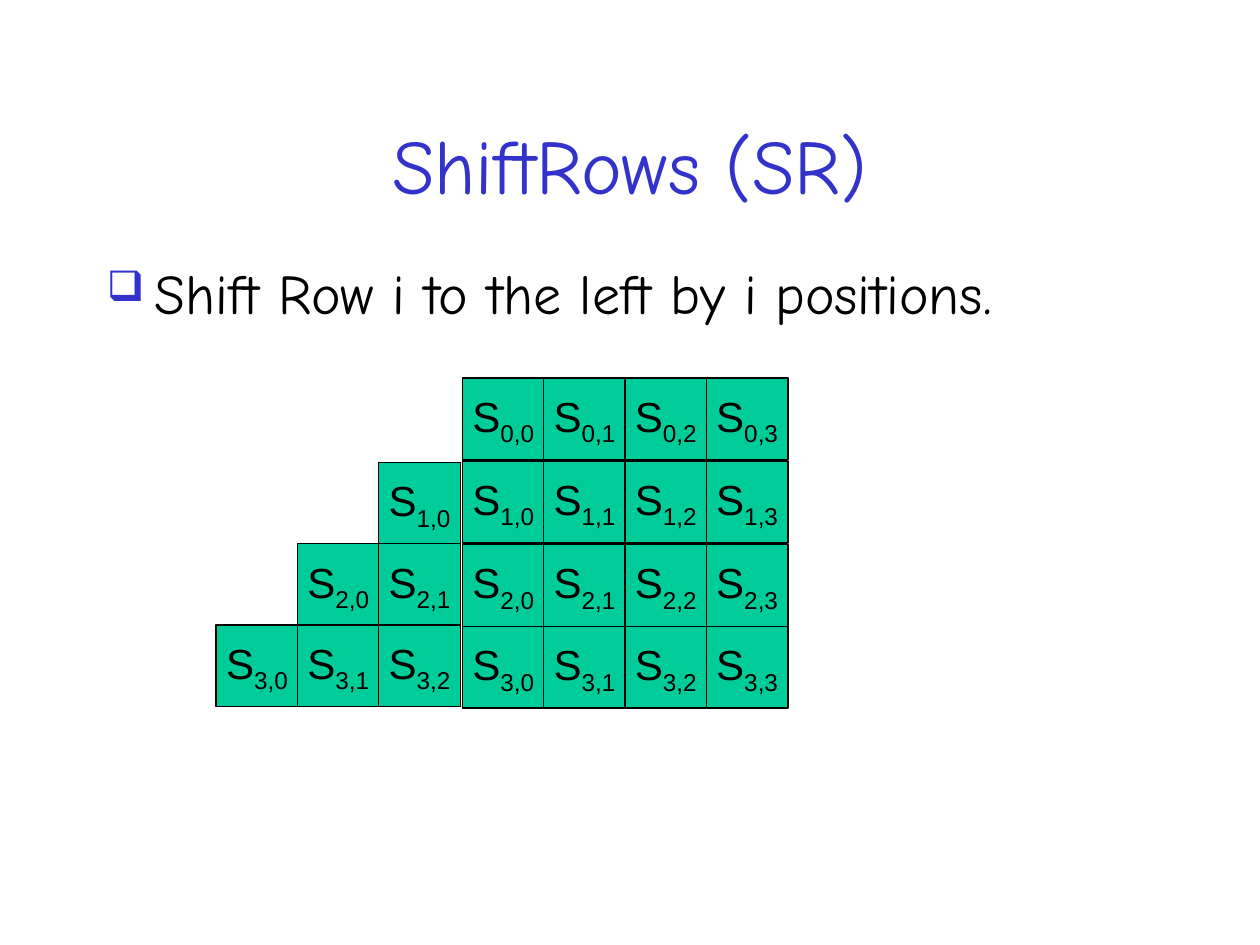
import pptx
import pptx.util
import pptx.dml.color
import pptx.enum.shapes
import pptx.enum.text
import pptx.oxml.ns
import lxml.etree

Inches = pptx.util.Inches
Pt = pptx.util.Pt
RGBColor = pptx.dml.color.RGBColor
ANCHOR = pptx.enum.text.MSO_ANCHOR
ALIGN = pptx.enum.text.PP_ALIGN
RECTANGLE = pptx.enum.shapes.MSO_SHAPE.RECTANGLE

BLUE = RGBColor(0x33, 0x33, 0xCC)
GREEN = RGBColor(0x00, 0xCC, 0x99)
BLACK = RGBColor(0, 0, 0)
WHITE = RGBColor(255, 255, 255)

TITLE = "ShiftRows (SR)"
RULE = "Shift Row i to the left by i positions."
BULLET = "❑"
STATE_SIZE = 4
STATE_LEFT = 3.67
STATE_TOPS = (3, 3.66, 4.32, 4.97)
SHIFTED_RIGHT = 3.65
SHIFTED_TOP = 3.67
CELL = 0.65
PITCH = 1.29 / 2
MASK = (1.41, 3.42, 2.25, 2.42)

TITLE_FONT = {"name": "Comic Neue", "size": Pt(44)}
RULE_FONT = {"name": "Comic Neue", "size": Pt(32)}
CELL_FONT = {"name": "Arial", "size": Pt(24)}


def set_all(target, values):
    for name, value in values.items():
        setattr(target, name, value)


def add_span(para, text, font, color):
    span = para.add_run()
    span.text = text
    set_all(span.font, font)
    span.font.color.rgb = color
    return span


def add_text(page, place, text, font, color, frame_format, para_format):
    box = page.shapes.add_textbox(*map(Inches, place))
    set_all(box.text_frame, {"word_wrap": True, **frame_format})
    para = box.text_frame.paragraphs[0]
    set_all(para, para_format)
    add_span(para, text, font, color)
    return para


def add_bullet(para, symbol, color, percent):
    properties = para._p.get_or_add_pPr()
    properties.set("marL", str(Inches(0.38)))
    properties.set("indent", str(-Inches(0.38)))
    qn = pptx.oxml.ns.qn
    bullet_color = lxml.etree.SubElement(properties, qn("a:buClr"))
    lxml.etree.SubElement(bullet_color, qn("a:srgbClr"), val=str(color))
    lxml.etree.SubElement(properties, qn("a:buSzPct"), val=str(percent * 1000))
    lxml.etree.SubElement(properties, qn("a:buChar"), char=symbol)


def add_rectangle(shapes, place, fill):
    shape = shapes.add_shape(RECTANGLE, *map(Inches, place))
    shape.shadow.inherit = False
    shape.fill.solid()
    shape.fill.fore_color.rgb = fill
    shape.line.fill.background()
    return shape


def add_cell(shapes, left, top, row, column):
    cell = add_rectangle(shapes, (left, top, CELL, CELL), GREEN)
    cell.line.color.rgb = BLACK
    cell.line.width = Pt(0.75)
    set_all(cell.text_frame, {"word_wrap": False, "vertical_anchor": ANCHOR.MIDDLE})
    para = cell.text_frame.paragraphs[0]
    para.alignment = ALIGN.CENTER
    add_span(para, "S", CELL_FONT, BLACK)
    index = add_span(para, f"{row},{column}", CELL_FONT, BLACK)
    index.font._element.set("baseline", "-25000")


def main():
    deck = pptx.Presentation()
    set_all(deck, {"slide_width": Inches(10), "slide_height": Inches(7.5)})
    page = deck.slides.add_slide(deck.slide_layouts[6])

    add_text(page, (0.75, 0.67, 8.5, 1.25), TITLE, TITLE_FONT, BLUE,
             {"vertical_anchor": ANCHOR.MIDDLE}, {"alignment": ALIGN.CENTER})
    rule = add_text(page, (0.75, 2, 8.5, 0.92), RULE, RULE_FONT, BLACK,
                    {"vertical_anchor": ANCHOR.TOP}, {"space_before": Pt(6.4)})
    add_bullet(rule, BULLET, BLUE, 75)

    for row, top in enumerate(STATE_TOPS):
        group = page.shapes.add_group_shape()
        for column in range(STATE_SIZE):
            add_cell(group.shapes, STATE_LEFT + column * PITCH, top, row, column)

    add_rectangle(page.shapes, MASK, WHITE)

    shifted = page.shapes.add_group_shape()
    for row in range(1, STATE_SIZE):
        for column in range(row):
            left = SHIFTED_RIGHT - (row - column) * PITCH
            top = SHIFTED_TOP + (row - 1) * PITCH
            add_cell(shifted.shapes, left, top, row, column)

    deck.save("out.pptx")


if __name__ == "__main__":
    main()
